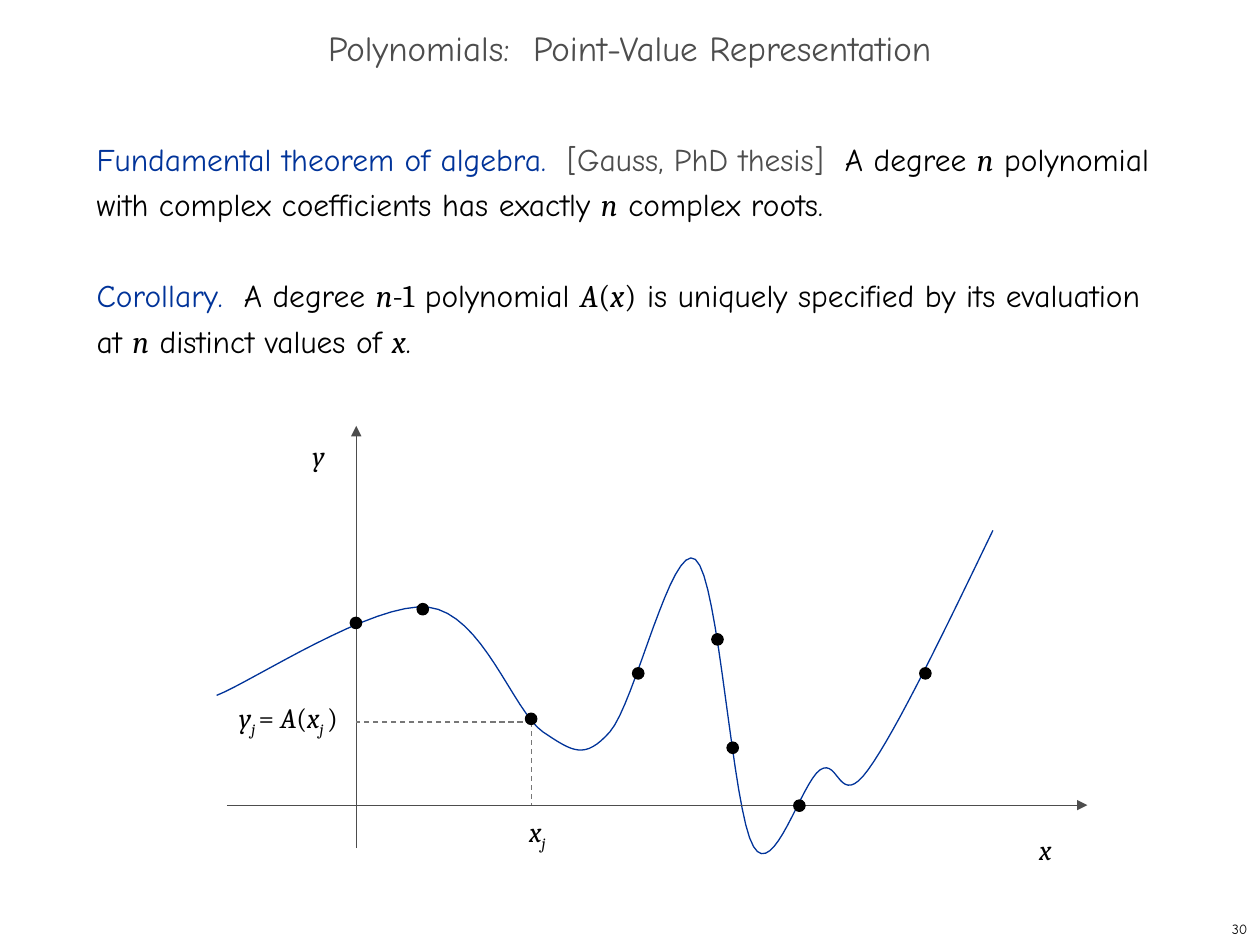
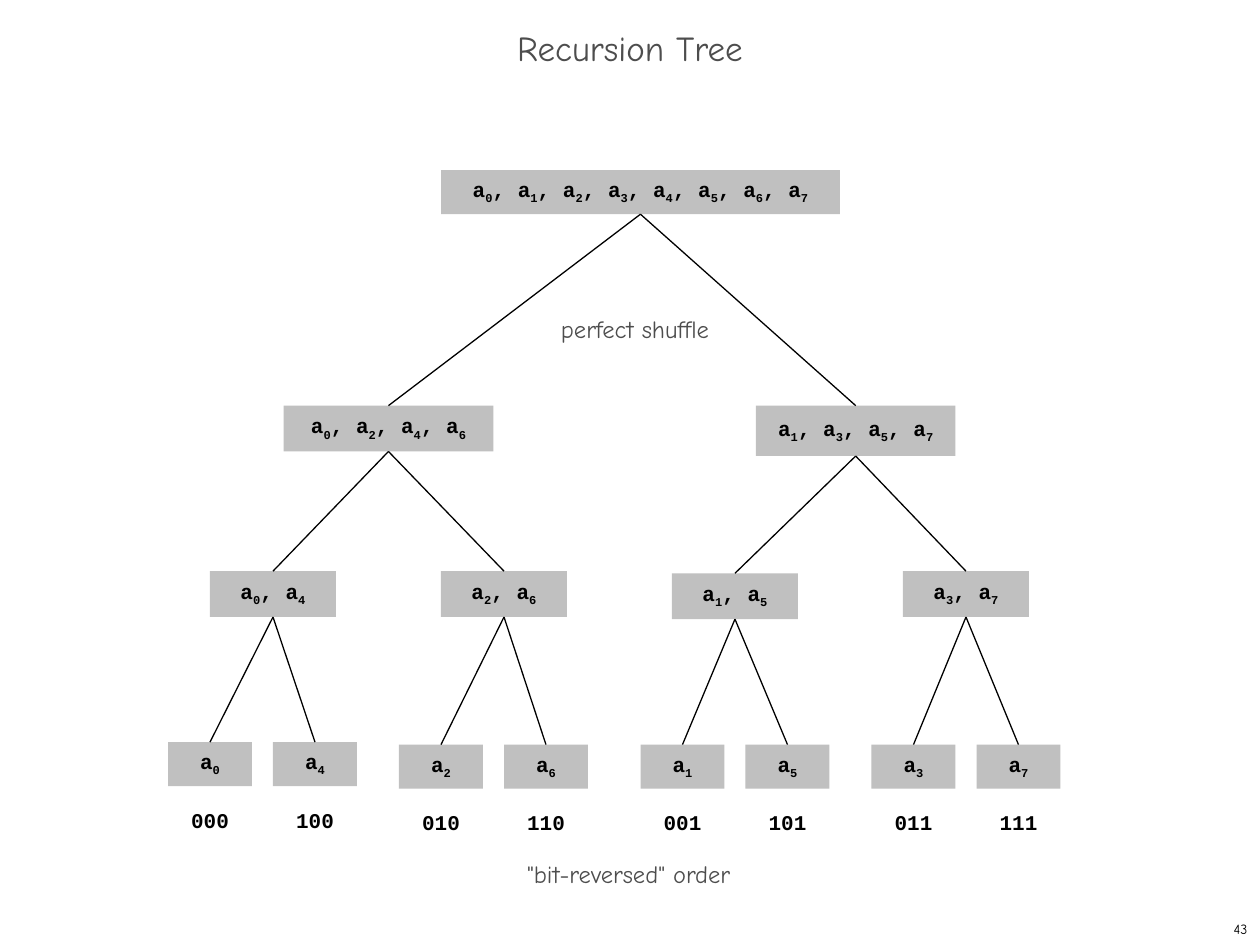
import pptx
import pptx.dml.color
import pptx.enum.dml
import pptx.enum.shapes
import pptx.enum.text
import pptx.oxml.ns
import lxml.etree

Pt = pptx.util.Pt
RGB = pptx.dml.color.RGBColor
ALIGN = pptx.enum.text.PP_ALIGN
ANCHOR = pptx.enum.text.MSO_ANCHOR
SHAPE = pptx.enum.shapes.MSO_SHAPE
DASH = pptx.enum.dml.MSO_LINE.DASH

BLACK = RGB(0x00, 0x00, 0x00)
GRAY = RGB(0x4D, 0x4D, 0x4D)
MID = RGB(0x77, 0x77, 0x77)
SILVER = RGB(0xC0, 0xC0, 0xC0)
BLUE = RGB(0x00, 0x33, 0x99)


def look(name, size, color=BLACK, **more):
    return {"name": name, "size": Pt(size), "color": color, **more}


COMIC, SERIF, MONO = "Comic Neue", "Cambria", "Courier New"
LOOKS = {
    "title": look(COMIC, 20, GRAY),
    "number": look(COMIC, 8),
    "body": look(COMIC, 18),
    "lead": look(COMIC, 18, BLUE),
    "aside": look(COMIC, 18, GRAY),
    "var": look(SERIF, 18, italic=True),
    "math": look(SERIF, 18),
    "axis": look(SERIF, 16, italic=True),
    "sign": look(SERIF, 16),
    "axis sub": look(SERIF, 16, italic=True, base=-25),
    "note": look(COMIC, 14, GRAY),
    "code": look(MONO, 12, bold=True),
    "code sub": look(MONO, 12, bold=True, base=-25),
}

# Slide 30: theorem text and plot
THEOREM = [
    [("Fundamental theorem of algebra.  ", "lead"), ("[Gauss, PhD thesis]  ", "aside"),
     ("A degree ", "body"), ("n", "var"),
     (" polynomial with complex coefficients has exactly ", "body"),
     ("n", "var"), (" complex roots.", "body")],
    [("Corollary.  ", "lead"), ("A degree ", "body"), ("n", "var"), ("-1", "math"),
     (" polynomial ", "body"), ("A", "var"), ("(", "math"), ("x", "var"), (")", "math"),
     (" is uniquely specified by its evaluation at ", "body"), ("n", "var"),
     (" distinct values of ", "body"), ("x", "var"), (".", "body")],
]
START = (123.8, 397.4)
BENDS = [  # two control points and the end of each cubic piece
    ((144, 389.5), (213.8, 343.4), (244.8, 347)),
    ((275.8, 350.6), (293, 406.1), (310.3, 418.3)),
    ((327.6, 429.8), (334.1, 434.2), (348.5, 418.3)),
    ((362.9, 401.8), (383.8, 308.9), (397.4, 319.7)),
    ((411.1, 330.5), (418.3, 463.7), (430.6, 483.8)),
    ((442.1, 503.3), (457.9, 447.1), (468.7, 439.9)),
    ((479.5, 432.7), (479.5, 463), (496.1, 439.9)),
    ((512.6, 416.9), (540, 360), (567.4, 303.1)),
]
DOT = 6.5
DOTS = [(203.4, 356), (241.6, 348.1), (303.5, 410.8), (364.7, 384.8),
        (410, 365.4), (418.7, 427.3), (456.8, 460.4), (528.8, 384.8)]
AXIS_X, AXIS_Y = 203.6, 460.1
SAMPLE = (303.8, 412.6)
AXES = [((AXIS_X, 484.6), (AXIS_X, 243.4)), ((129.6, AXIS_Y), (621.4, AXIS_Y))]
GUIDES = [(SAMPLE, (SAMPLE[0], AXIS_Y)), (SAMPLE, (AXIS_X, SAMPLE[1]))]
LABELS = [
    ((578.2, 472.3, 38.2, 26.6), [("x", "axis")]),
    ((144, 247, 76.3, 26.6), [("y", "axis")]),
    ((288, 462.2, 38.2, 26.6), [("x", "axis"), ("j", "axis sub")]),
    ((119.5, 396.7, 90.7, 26.6),
     [("y", "axis"), ("j ", "axis sub"), ("=", "sign"), (" A", "axis"), ("(", "sign"),
      ("x", "axis"), ("j ", "axis sub"), (")", "sign")]),
]

# Slide 43: each node is centre, top, width, height
LEAF_GAP = 60
FIRST_LEAVES = [(120, 424.1), (252, 425.5), (390, 425.5), (522, 425.5)]
LEVELS = [
    [(366, 97.2, 228, 25.2)],
    [(222, 231.8, 120, 26.2), (489, 231.8, 114, 28.8)],
    [(156 + 132 * i, top, 72, 26.2)
     for i, top in enumerate((326.4, 326.4, 327.6, 326.4))],
    [(x + LEAF_GAP * side, top, 48, 25.2) for x, top in FIRST_LEAVES for side in (0, 1)],
]
BITS_DROP = 33.8
NOTES = [((304.6, 175.7, 116.6, 23.8), "perfect shuffle"),
         ((254.2, 487.4, 210.2, 23.8), "\"bit-reversed\" order")]


def write(para, runs, **form):
    for key, value in form.items():
        setattr(para, key, value)
    for text, name in runs:
        run = para.add_run()
        run.text = text
        for key, value in LOOKS[name].items():
            if key == "color":
                run.font.color.rgb = value
            elif key == "base":
                run.font._element.set("baseline", str(value * 1000))
            else:
                setattr(run.font, key, value)


def place(shape, box):
    for key, value in zip(("left", "top", "width", "height"), box):
        setattr(shape, key, Pt(value))


def frame(shape, **form):
    base = {"word_wrap": True, "auto_size": pptx.enum.text.MSO_AUTO_SIZE.NONE,
            "vertical_anchor": ANCHOR.TOP}
    for key, value in {**base, **form}.items():
        setattr(shape.text_frame, key, value)
    return shape.text_frame


def label(slide, box, runs, align=ALIGN.CENTER, **form):
    shape = slide.shapes.add_textbox(*map(Pt, box))
    write(frame(shape, **form).paragraphs[0], runs, alignment=align)


def block(slide, kind, box, fill):
    shape = slide.shapes.add_shape(kind, *map(Pt, box))
    shape.shadow.inherit = False
    shape.fill.solid()
    shape.fill.fore_color.rgb = fill
    shape.line.fill.background()
    return shape


def stroke(shape, color, dash=None):
    shape.line.color.rgb = color
    shape.line.width = Pt(0.75)
    if dash:
        shape.line.dash_style = dash


def join(slide, start, end, color=BLACK, dash=None, arrow=False):
    line = slide.shapes.add_connector(pptx.enum.shapes.MSO_CONNECTOR.STRAIGHT,
                                      *map(Pt, start + end))
    stroke(line, color, dash)
    qn = pptx.oxml.ns.qn
    if arrow:
        lxml.etree.SubElement(line.line._get_or_add_ln(), qn("a:tailEnd"), type="triangle")
    lxml.etree.SubElement(line._element.spPr, qn("a:effectLst"))


def begin(deck, layout, title, number):
    slide = deck.slides.add_slide(deck.slide_layouts[layout])
    head = slide.shapes.title
    place(head, (0, 12, 720, 36))
    text = frame(head, vertical_anchor=ANCHOR.MIDDLE)
    write(text.paragraphs[0], [(title, "title")], alignment=ALIGN.CENTER, line_spacing=0.7)
    label(slide, (570, 522, 150, 18), [(number, "number")], ALIGN.RIGHT,
          vertical_anchor=ANCHOR.MIDDLE)
    return slide


def trace(slide, steps=16):
    """Draw the cubic pieces as one fine open outline."""
    points, p0 = [], START
    for p1, p2, p3 in BENDS:
        for t in (i / steps for i in range(1, steps + 1)):
            u = 1 - t
            points.append(tuple(
                Pt(u**3 * a + 3 * u * u * t * b + 3 * u * t * t * c + t**3 * d)
                for a, b, c, d in zip(p0, p1, p2, p3)))
        p0 = p3
    pen = slide.shapes.build_freeform(*map(Pt, START))
    pen.add_line_segments(points, close=False)
    curve = pen.convert_to_shape()
    curve.shadow.inherit = False
    curve.fill.background()
    stroke(curve, BLUE)


def build_plot(deck):
    slide = begin(deck, 1, "Polynomials:  Point-Value Representation", "30")
    body = slide.placeholders[1]
    place(body, (48, 72, 618, 426))
    text = frame(body)
    for i, runs in enumerate(THEOREM):
        para = text.add_paragraph() if i else text.paragraphs[0]
        write(para, runs, line_spacing=Pt(26), space_before=Pt(26 * i))
        props = para._p.get_or_add_pPr()
        props.set("marL", "0")
        props.set("indent", "0")
        lxml.etree.SubElement(props, pptx.oxml.ns.qn("a:buNone"))
    trace(slide)
    for start, end in AXES:
        join(slide, start, end, GRAY, arrow=True)
    for start, end in GUIDES:
        join(slide, start, end, MID, DASH.DASH)
    for x, y in DOTS:
        dot = block(slide, SHAPE.OVAL, (x - DOT / 2, y - DOT / 2, DOT, DOT), BLACK)
        stroke(dot, BLACK)
    for box, runs in LABELS:
        label(slide, box, runs)


def build_tree(deck):
    slide = begin(deck, 5, "Recursion Tree", "43")
    groups, above = [list(range(8))], []
    for level in LEVELS:
        for k, ((x, top, wide, high), group) in enumerate(zip(level, groups)):
            node = block(slide, SHAPE.RECTANGLE, (x - wide / 2, top, wide, high), SILVER)
            runs = []
            for i in group:
                runs += [(", a" if runs else "a", "code"), (str(i), "code sub")]
            text = frame(node, vertical_anchor=ANCHOR.MIDDLE, margin_bottom=Pt(5))
            write(text.paragraphs[0], runs, alignment=ALIGN.CENTER)
            if above:
                px, ptop, _, phigh = above[k // 2]
                join(slide, (px, ptop + phigh), (x, top))
            if len(group) == 1:
                label(slide, (x - 30, top + BITS_DROP, 60, 21.6),
                      [(f"{group[0]:03b}", "code")])
        groups = [half for group in groups for half in (group[::2], group[1::2])]
        above = level
    for box, words in NOTES:
        label(slide, box, [(words, "note")])


def main():
    deck = pptx.Presentation()
    deck.slide_width, deck.slide_height = Pt(720), Pt(540)
    build_plot(deck)
    build_tree(deck)
    deck.save("out.pptx")


if __name__ == "__main__":
    main()
